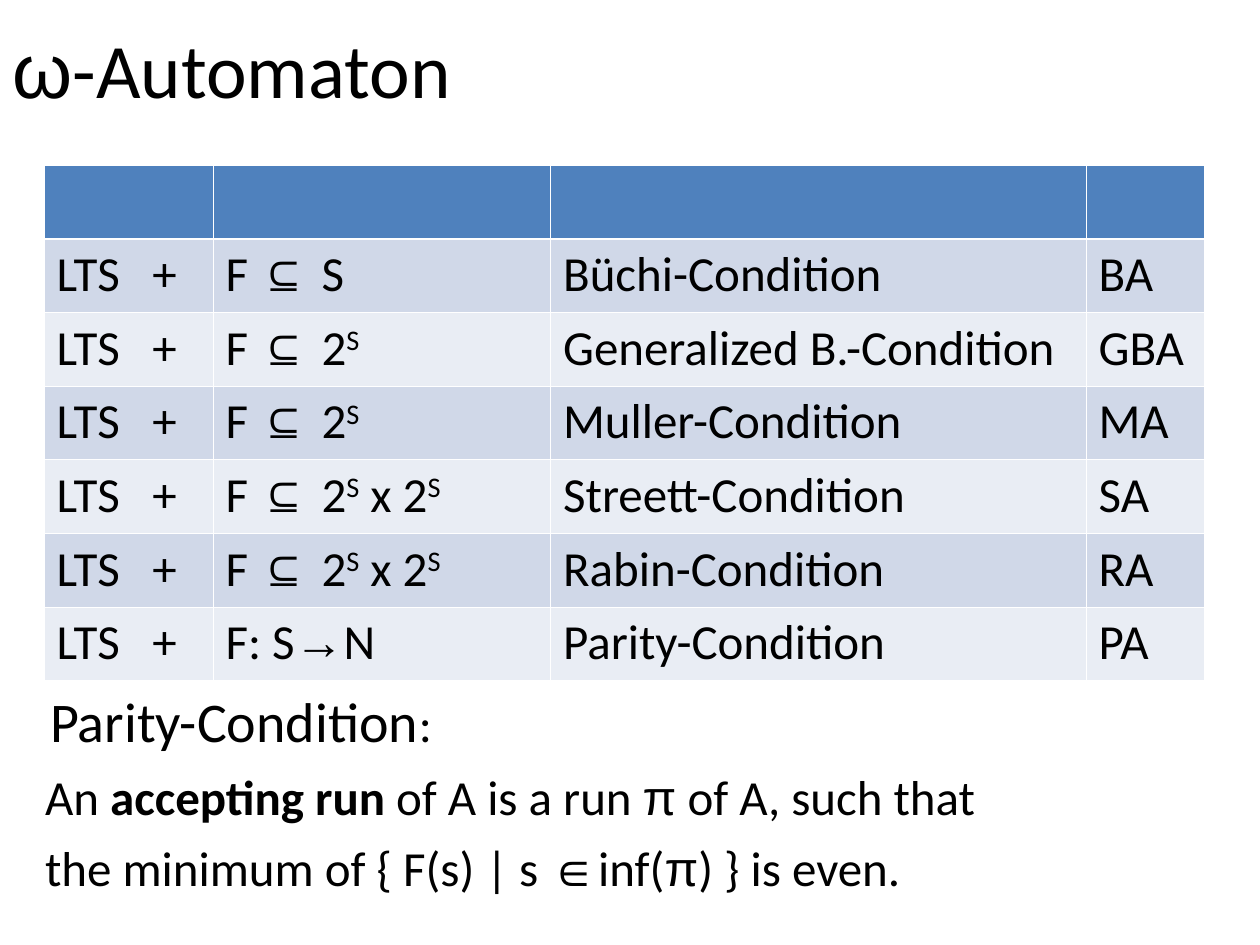
from dataclasses import dataclass

from lxml.etree import SubElement as Sub
from pptx import Presentation
from pptx.dml.color import RGBColor as Rgb
from pptx.enum.text import MSO_ANCHOR as Anchor, MSO_AUTO_SIZE as Fit, PP_ALIGN as Align
from pptx.oxml import parse_xml
from pptx.oxml.ns import nsdecls, qn
from pptx.util import Inches, Pt


@dataclass(frozen=True)
class Theme:
    ink: str = "000000"
    line: str = "FFFFFF"
    head: str = "4F81BD"
    bands: tuple = ("D0D8E8", "E9EDF4")
    font: str = "Calibri"
    math: str = "Arial"
    title: int = 44
    lead: int = 32
    text: int = 28
    thin: float = 0.45
    thick: float = 1.47


T = Theme()

# Content: a run is text, or (text, style)
MATH, SUP, BOLD = "math", "sup", "bold"
SUB = ["F ", ("⊆ ", MATH)]
POW = ["2", ("S", SUP)]
PAIR = POW + [" x 2", ("S", SUP)]
TITLE = [("ω", MATH), "-Automaton"]
ROWS = [
    (SUB + ["S"], "Büchi-Condition", "BA"),
    (SUB + POW, "Generalized B.-Condition", "GBA"),
    (SUB + POW, "Muller-Condition", "MA"),
    (SUB + PAIR, "Streett-Condition", "SA"),
    (SUB + PAIR, "Rabin-Condition", "RA"),
    (["F: S", ("→", MATH), "N"], "Parity-Condition", "PA"),
]
LEAD = "Parity-Condition"
NOTES = [
    ["An ", ("accepting run ", BOLD), "of A is a run ", ("π", MATH), " of A, such that"],
    ["the minimum of { F(s) | s ", ("∈", MATH), "inf(", ("π", MATH), ") } is even."],
]

# Grid, in inches
WIDE, HIGH = 10, 7.5
COLS = (1.34, 2.68, 4.25, 0.94)
LEFT, TOP, ROW = 0.35, 1.31, 0.585
PLUS = 0.76
LEAD_IN, NOTE_IN = 0.3, 0.26


def write(par, runs, size):
    for item in runs:
        text, style = (item, "") if isinstance(item, str) else item
        run = par.add_run()
        run.text = text
        font = run.font
        font.size = Pt(size)
        font.name = T.math if style == MATH else T.font
        font.bold = style == BOLD
        font.color.rgb = Rgb.from_string(T.ink)
        if style == SUP:
            run._r.get_or_add_rPr().set("baseline", "30000")


def indent(par, gap):
    props = par._p.get_or_add_pPr()
    props.set("marL", str(Inches(gap)))
    props.set("indent", "0")


def tab(par, stop):
    tabs = Sub(par._p.get_or_add_pPr(), qn("a:tabLst"))
    Sub(tabs, qn("a:tab"), pos=str(Inches(stop)), algn="l")


def paint(cell, fill, top, low):
    cell.fill.solid()
    cell.fill.fore_color.rgb = Rgb.from_string(fill)
    props = cell._tc.get_or_add_tcPr()
    sides = (("lnL", T.thin), ("lnR", T.thin), ("lnT", top), ("lnB", low))
    for i, (side, width) in enumerate(sides):
        props.insert(i, parse_xml(
            f'<a:{side} {nsdecls("a")} w="{Pt(width)}"><a:solidFill>'
            f'<a:srgbClr val="{T.line}"/></a:solidFill></a:{side}>'))


def add_title(slide):
    title = slide.shapes.title
    title.left, title.top = 0, 0
    title.width, title.height = Inches(WIDE), Inches(1.07)
    frame = title.text_frame
    frame.auto_size = Fit.NONE
    frame.vertical_anchor = Anchor.MIDDLE
    par = frame.paragraphs[0]
    par.alignment = Align.LEFT
    write(par, TITLE, T.title)


def add_notes(slide):
    box = slide.shapes.add_textbox(0, Inches(5.4), Inches(WIDE), Inches(1.91))
    frame = box.text_frame
    frame.word_wrap = True
    lead = frame.paragraphs[0]
    write(lead, [LEAD], T.lead)
    write(lead, [":"], T.text)
    for runs in NOTES:
        write(frame.add_paragraph(), runs, T.text)
    for i, par in enumerate(frame.paragraphs):
        par.space_before = Pt(7)
        indent(par, NOTE_IN if i else LEAD_IN)


def add_grid(slide):
    count = len(ROWS) + 1
    grid = slide.shapes.add_table(
        count, len(COLS), Inches(LEFT), Inches(TOP),
        Inches(sum(COLS)), Inches(ROW * count)).table
    for col, width in zip(grid.columns, COLS):
        col.width = Inches(width)
    for row in grid.rows:
        row.height = Inches(ROW)
    # Header band
    for cell in grid.rows[0].cells:
        paint(cell, T.head, T.thin, T.thick)
    # Automaton rows
    for r, (cond, name, code) in enumerate(ROWS, 1):
        top = T.thick if r == 1 else T.thin
        for c, runs in enumerate((["LTS\t+"], cond, [name], [code])):
            cell = grid.cell(r, c)
            paint(cell, T.bands[(r - 1) % 2], top, T.thin)
            par = cell.text_frame.paragraphs[0]
            write(par, runs, T.text)
            if c == 0:
                tab(par, PLUS)


def main():
    deck = Presentation()
    deck.slide_width, deck.slide_height = Inches(WIDE), Inches(HIGH)
    slide = deck.slides.add_slide(deck.slide_layouts[5])
    add_title(slide)
    add_notes(slide)
    add_grid(slide)
    deck.save("out.pptx")


if __name__ == "__main__":
    main()
